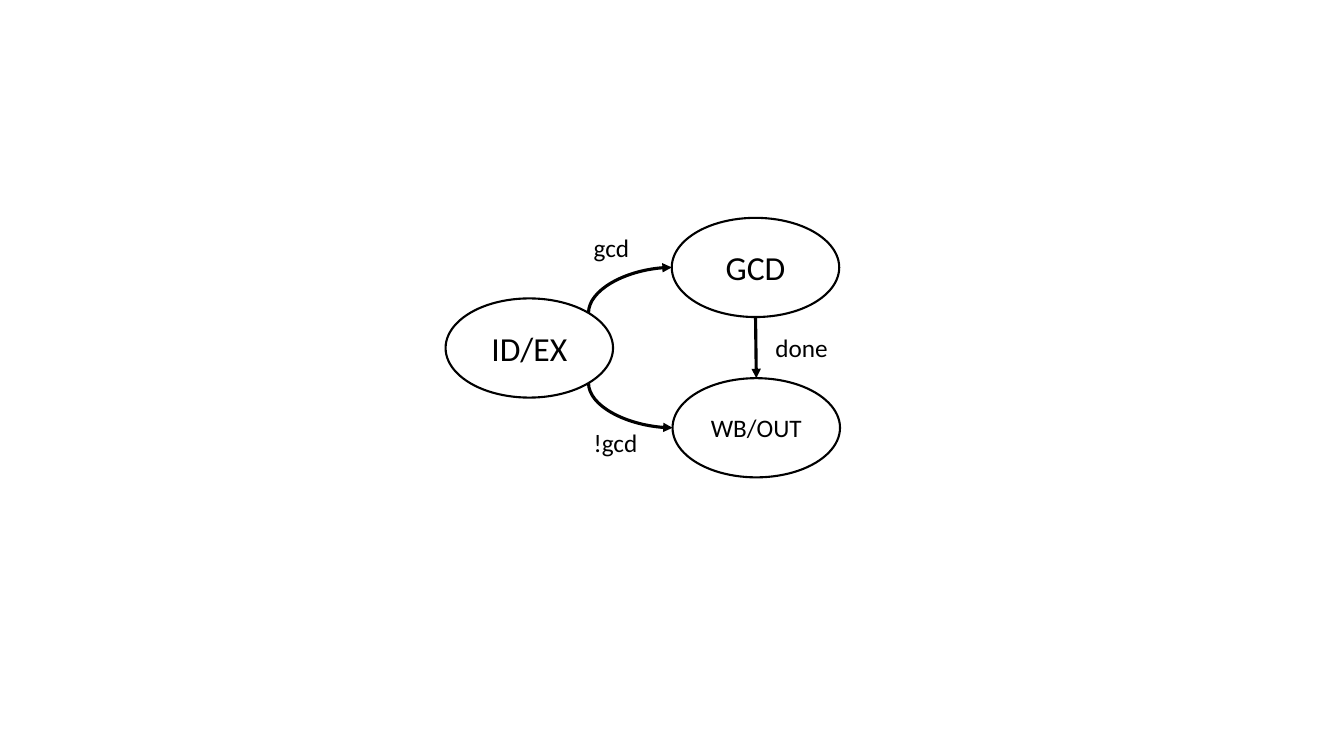
from dataclasses import dataclass
from math import sqrt

from lxml.etree import SubElement
from pptx import Presentation
from pptx.dml.color import RGBColor
from pptx.enum.shapes import MSO_CONNECTOR, MSO_SHAPE
from pptx.enum.text import MSO_ANCHOR, MSO_AUTO_SIZE, PP_ALIGN
from pptx.oxml.ns import qn
from pptx.util import Cm, Pt


@dataclass(frozen=True)
class Theme:
    font: str = "Calibri"
    ink: RGBColor = RGBColor(0, 0, 0)
    large: Pt = Pt(24)
    small: Pt = Pt(18)
    outline: Pt = Pt(1.5)
    arrow: Pt = Pt(2.25)


THEME = Theme()
STATE_W, STATE_H = 4.22, 2.5


def set_text(tf, text, size, align):
    p = tf.paragraphs[0]
    p.text = text
    p.alignment = align
    p.font.name = THEME.font
    p.font.size = size
    p.font.color.rgb = THEME.ink


def add_state(s, text, left, top, size):
    sp = s.shapes.add_shape(MSO_SHAPE.OVAL, Cm(left), Cm(top), Cm(STATE_W), Cm(STATE_H))
    sp.shadow.inherit = False
    sp.fill.background()
    sp.line.color.rgb = THEME.ink
    sp.line.width = THEME.outline
    tf = sp.text_frame
    tf.vertical_anchor = MSO_ANCHOR.MIDDLE
    set_text(tf, text, size, PP_ALIGN.CENTER)
    return sp


def add_label(s, text, left, top, width):
    tf = s.shapes.add_textbox(Cm(left), Cm(top), Cm(width), Cm(1.03)).text_frame
    tf.word_wrap = False
    tf.auto_size = MSO_AUTO_SIZE.SHAPE_TO_FIT_TEXT
    set_text(tf, text, THEME.small, PP_ALIGN.LEFT)


def edge_point(state, dx, dy):
    """Point of the ellipse in direction (dx, dy), each -1, 0 or 1."""
    reach = 2 * sqrt(dx * dx + dy * dy)
    x = state.left + state.width / 2 + dx * state.width / reach
    y = state.top + state.height / 2 + dy * state.height / reach
    return round(x), round(y)


def add_arrow(s, kind, begin, end):
    arrow = s.shapes.add_connector(kind, *begin, *end)
    arrow.line.color.rgb = THEME.ink
    arrow.line.width = THEME.arrow
    SubElement(arrow.line._get_or_add_ln(), qn("a:tailEnd"), type="triangle")
    SubElement(arrow._element.spPr, qn("a:effectLst"))
    return arrow


def add_bend(s, begin, end):
    """Quarter curve that leaves vertically and arrives horizontally.

    The preset leaves horizontally, so it is laid out turned by a quarter.
    """
    (x1, y1), (x2, y2) = begin, end
    rising = y2 < y1
    cx, cy = (x1 + x2) // 2, (y1 + y2) // 2
    half_w = abs(y2 - y1) // 2
    half_h = (x2 - x1) // 2 * (1 if rising else -1)
    arrow = add_arrow(s, MSO_CONNECTOR.CURVE,
                      (cx + half_w, cy + half_h), (cx - half_w, cy - half_h))
    spPr = arrow._element.spPr
    spPr.find(qn("a:prstGeom")).set("prst", "curvedConnector2")
    spPr.find(qn("a:xfrm")).set("rot", str((90 if rising else 270) * 60000))


def main():
    prs = Presentation()
    prs.slide_width, prs.slide_height = Cm(33.87), Cm(19.05)
    s = prs.slides.add_slide(prs.slide_layouts[6])

    decode = add_state(s, "ID/EX", 11.23, 7.52, THEME.large)
    gcd = add_state(s, "GCD", 16.93, 5.49, THEME.large)
    write_back = add_state(s, "WB/OUT", 16.95, 9.53, THEME.small)

    add_bend(s, edge_point(decode, 1, -1), edge_point(gcd, -1, 0))
    add_bend(s, edge_point(decode, 1, 1), edge_point(write_back, -1, 0))
    add_arrow(s, MSO_CONNECTOR.STRAIGHT, edge_point(gcd, 0, 1), edge_point(write_back, 0, -1))

    add_label(s, "gcd", 14.71, 5.74, 1.42)
    add_label(s, "!gcd", 14.71, 10.65, 1.63)
    add_label(s, "done", 19.29, 8.25, 1.85)

    prs.save("out.pptx")


if __name__ == "__main__":
    main()
